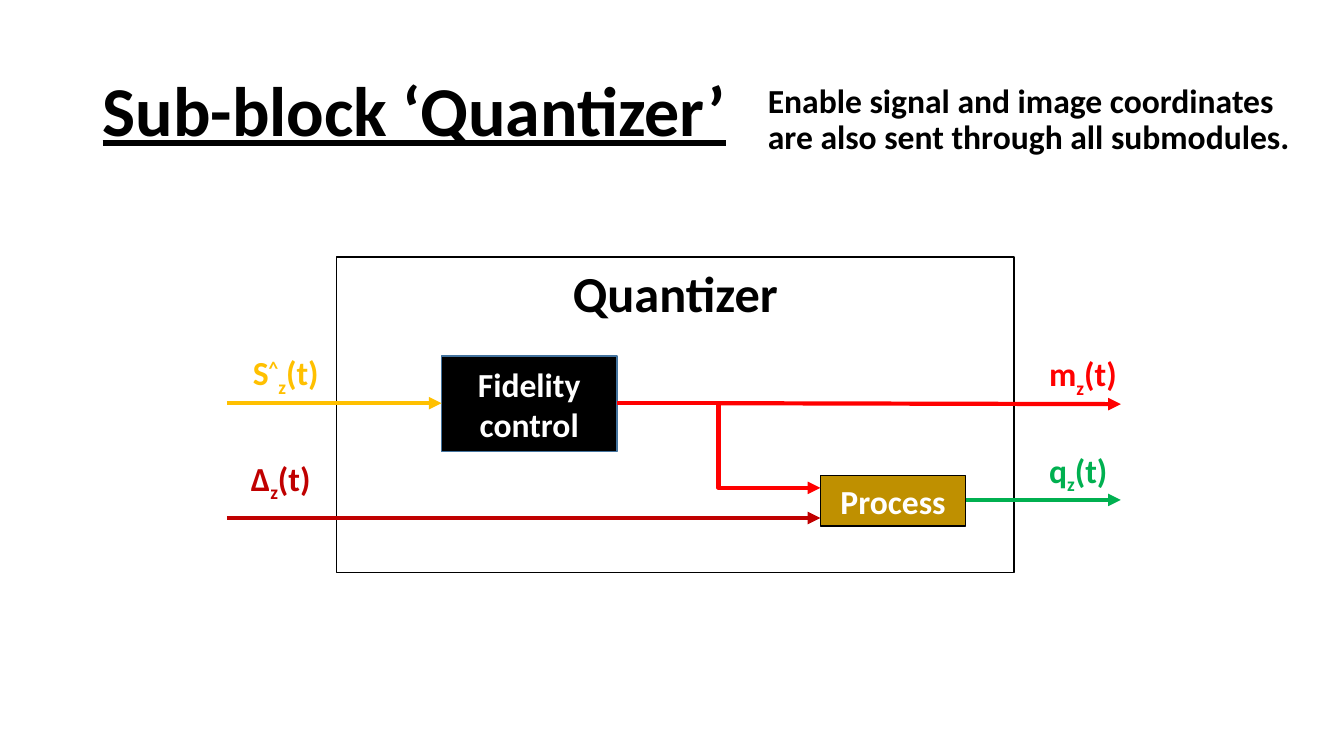
from dataclasses import dataclass

from lxml import etree
from pptx import Presentation
from pptx.dml.color import RGBColor
from pptx.enum import shapes, text
from pptx.oxml import ns
from pptx.util import Pt

BLACK = RGBColor(0x00, 0x00, 0x00)
WHITE = RGBColor(0xFF, 0xFF, 0xFF)
STEEL = RGBColor(0x43, 0x73, 0x9E)
OCHRE = RGBColor(0xBF, 0x90, 0x00)
AMBER = RGBColor(0xFF, 0xC0, 0x00)
RED = RGBColor(0xFF, 0x00, 0x00)
CRIMSON = RGBColor(0xC0, 0x00, 0x00)
GREEN = RGBColor(0x00, 0xB0, 0x50)

STRAIGHT = shapes.MSO_CONNECTOR.STRAIGHT
ELBOW = shapes.MSO_CONNECTOR.ELBOW
TOP = text.MSO_ANCHOR.TOP
MIDDLE = text.MSO_ANCHOR.MIDDLE
LABEL_PARAGRAPH = {"line_spacing": 0.9, "space_before": Pt(10)}
SUPER, SUB = 30000, -25000


@dataclass
class Block:
    """A filled box of the diagram; box is left, top, width, height."""
    caption: str
    box: tuple
    fill: RGBColor
    line: RGBColor
    color: RGBColor = WHITE
    size: float = 24
    anchor: text.MSO_ANCHOR = MIDDLE


@dataclass
class Label:
    """A text box; pieces pair each bit of text with its baseline shift."""
    pieces: list
    box: tuple
    color: RGBColor = BLACK


@dataclass
class Arrow:
    """A signal path from start to end."""
    start: tuple
    end: tuple
    color: RGBColor
    kind: shapes.MSO_CONNECTOR = STRAIGHT


def apply(target, values: dict) -> None:
    """Set each attribute of target named in values."""
    for name, value in values.items():
        setattr(target, name, value)


def add_run(p, content: str, color: RGBColor, size: float = 24,
            baseline: int = 0, **extra) -> None:
    """Add a bold Calibri run, raised or lowered by baseline."""
    r = p.add_run()
    r.text = content
    apply(r.font, {"name": "Calibri", "size": Pt(size), "bold": True, **extra})
    r.font.color.rgb = color
    if baseline:
        r._r.get_or_add_rPr().set("baseline", str(baseline))


def add_text_box(slide, box: tuple, anchor: text.MSO_ANCHOR = TOP):
    """Add a wrapping text box and return its first paragraph."""
    tf = slide.shapes.add_textbox(*map(Pt, box)).text_frame
    apply(tf, {"word_wrap": True, "vertical_anchor": anchor})
    return tf.paragraphs[0]


def draw_block(slide, block: Block) -> None:
    """Draw a box with its centred caption."""
    sp = slide.shapes.add_shape(shapes.MSO_SHAPE.RECTANGLE, *map(Pt, block.box))
    sp.shadow.inherit = False
    sp.fill.solid()
    sp.fill.fore_color.rgb = block.fill
    sp.line.color.rgb = block.line
    sp.line.width = Pt(1)
    tf = sp.text_frame
    apply(tf, {"word_wrap": True, "vertical_anchor": block.anchor})
    p = tf.paragraphs[0]
    p.alignment = text.PP_ALIGN.CENTER
    add_run(p, block.caption, block.color, block.size)


def draw_label(slide, label: Label) -> None:
    """Draw a label with its raised and lowered pieces."""
    p = add_text_box(slide, label.box)
    apply(p, LABEL_PARAGRAPH)
    for content, baseline in label.pieces:
        add_run(p, content, label.color, baseline=baseline)


def draw_arrow(slide, arrow: Arrow) -> None:
    """Draw a connector with a triangle at its end."""
    cx = slide.shapes.add_connector(
        arrow.kind, *map(Pt, arrow.start + arrow.end))
    cx.line.color.rgb = arrow.color
    cx.line.width = Pt(3)
    etree.SubElement(cx.line._get_or_add_ln(), ns.qn("a:tailEnd"), type="triangle")
    etree.SubElement(cx._element.spPr, ns.qn("a:effectLst"))


def signal(*symbol: tuple) -> list:
    """Return the pieces of a signal name such as q, lowered z, (t)."""
    return [*symbol, ("z", SUB), ("(t)", 0)]


INPUT_X, OUTPUT_X = 162, 800.6
FIDELITY_X, FIDELITY_END = 315.4, 440.6
PROCESS_X, PROCESS_END = 586, 689.8
BRANCH_X = (FIDELITY_END + PROCESS_X) / 2
MAIN_Y, DELTA_Y, OUTPUT_Y = 288, 370, 357.1

BLOCKS = [
    Block("Quantizer", (240.5, 183.6, 483.8, 225.4), WHITE, BLACK, BLACK, 36, TOP),
    Block("Fidelity control",
          (FIDELITY_X, 254.2, FIDELITY_END - FIDELITY_X, 68.4), BLACK, STEEL),
    Block("Process",
          (PROCESS_X, 339.8, PROCESS_END - PROCESS_X, 36), OCHRE, BLACK),
]
ARROWS = [
    Arrow((INPUT_X, DELTA_Y), (PROCESS_X, DELTA_Y), CRIMSON),
    Arrow((PROCESS_END, OUTPUT_Y), (OUTPUT_X, OUTPUT_Y), GREEN),
    Arrow((FIDELITY_END, MAIN_Y), (PROCESS_X, 348.5), RED, ELBOW),
    Arrow((INPUT_X, MAIN_Y), (FIDELITY_X, MAIN_Y), AMBER),
    Arrow((BRANCH_X, MAIN_Y), (OUTPUT_X, MAIN_Y + 0.7), RED),
]
LABELS = [
    Label(signal(("S", 0), ("^", SUPER)), (173.5, 248.4, 69.1, 30.2), AMBER),
    Label(signal(("q", 0)), (742.3, 318.2, 60.5, 30.2), GREEN),
    Label(signal(("m", 0)), (742.3, 249.1, 69.8, 30.2), RED),
    Label(signal(("Δ", 0)), (172.1, 324, 59, 36), CRIMSON),
    Label([("Enable signal and image coordinates are also sent "
            "through all submodules.", 0)], (541.4, 56.9, 396.7, 61.9)),
]


def main() -> None:
    """Build the slide and save it."""
    prs = Presentation()
    apply(prs, {"slide_width": Pt(960), "slide_height": Pt(540)})
    slide = prs.slides.add_slide(prs.slide_layouts[6])
    p = add_text_box(slide, (66.2, 28.8, 468, 104.4), MIDDLE)
    p.line_spacing = 0.9
    add_run(p, "Sub-block ‘Quantizer’", BLACK, 50, underline=True)
    for draw, items in ((draw_block, BLOCKS), (draw_arrow, ARROWS),
                        (draw_label, LABELS)):
        for item in items:
            draw(slide, item)
    prs.save("out.pptx")


main()
